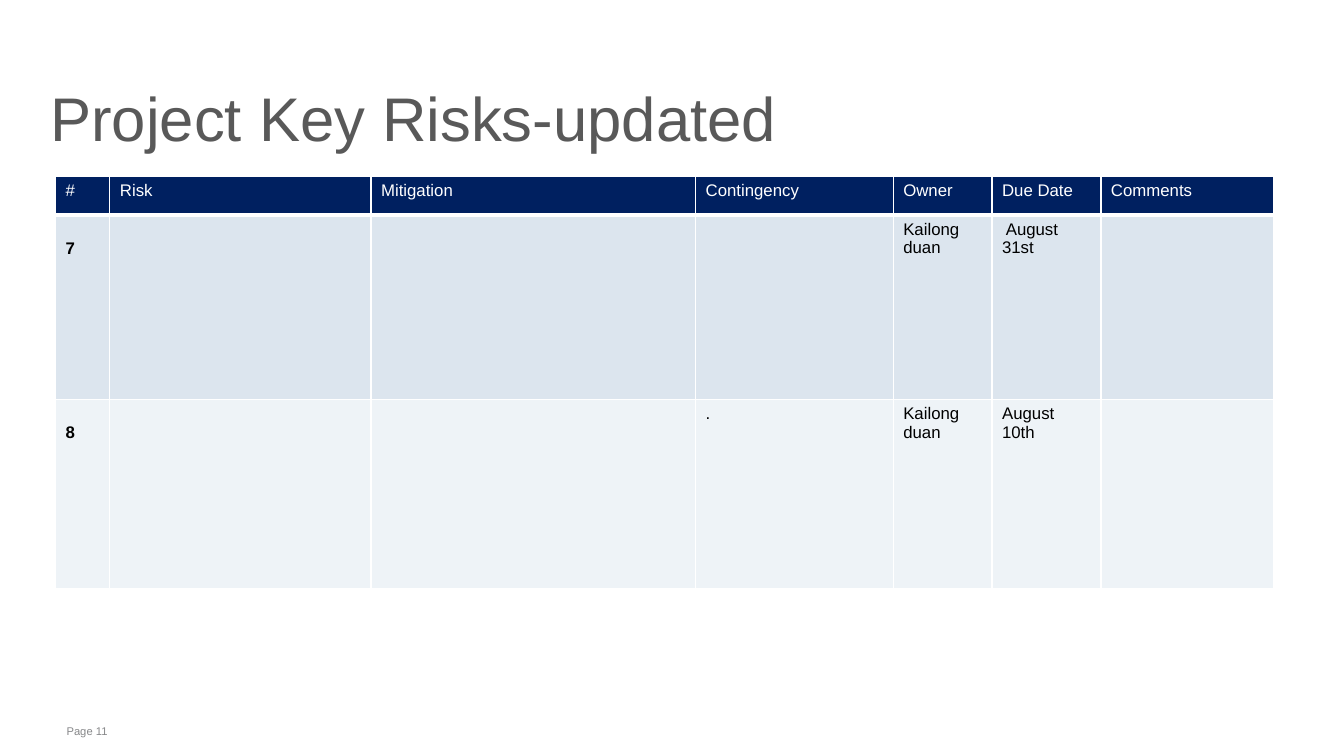
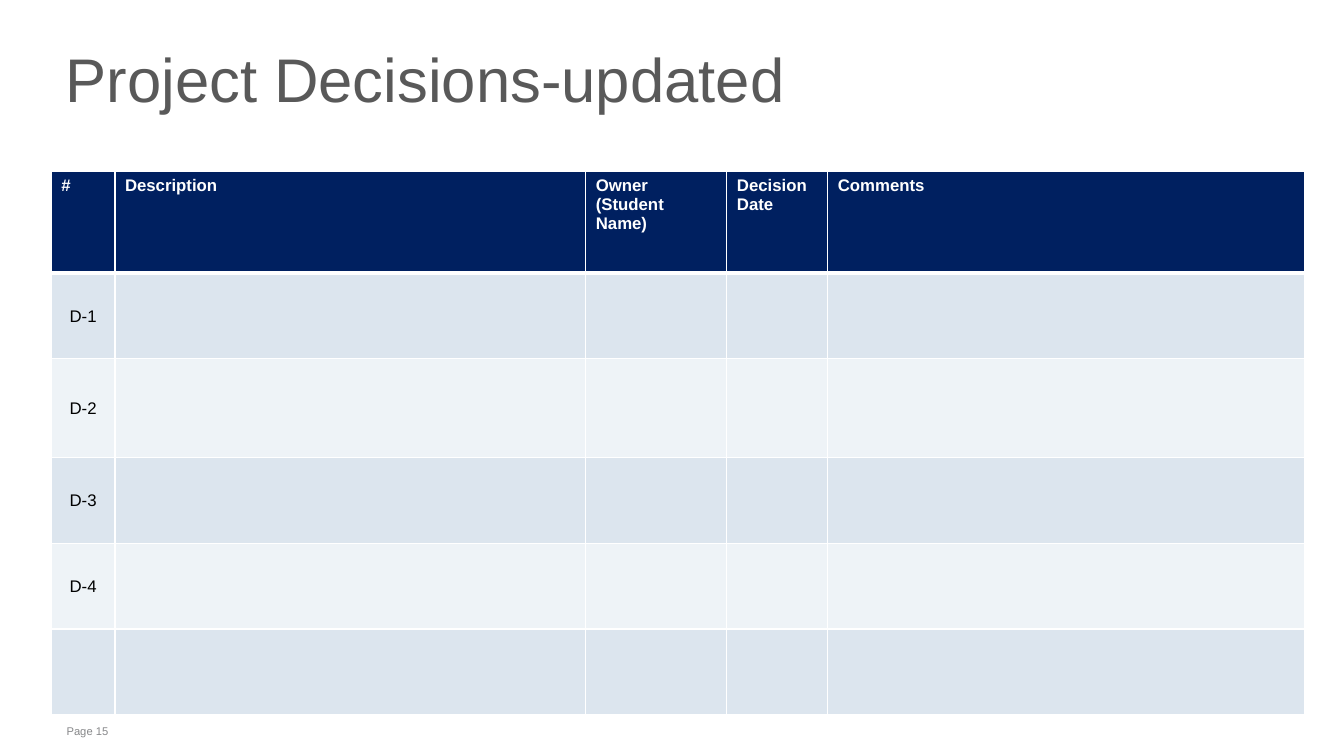
from lxml.etree import SubElement
from pptx import Presentation
from pptx.dml.color import RGBColor
from pptx.enum.text import MSO_ANCHOR, MSO_AUTO_SIZE, PP_ALIGN
from pptx.oxml.ns import qn
from pptx.util import Inches, Pt

WHITE = RGBColor(0xFF, 0xFF, 0xFF)
BLACK = RGBColor(0x00, 0x00, 0x00)
NAVY = RGBColor(0x00, 0x20, 0x60)
TITLE_GRAY = RGBColor(0x59, 0x59, 0x59)
FOOTER_GRAY = RGBColor(0x87, 0x88, 0x8A)
BANDS = (RGBColor(0xDC, 0xE5, 0xEE), RGBColor(0xEE, 0xF3, 0xF7))
FONT = "Arial"
TITLE_ONLY = 5


def write_text(text_frame, text, size=12, color=BLACK, bold=False,
               align=PP_ALIGN.LEFT, line_spacing=None):
    text_frame.text = text
    for paragraph in text_frame.paragraphs:
        paragraph.alignment = align
        if line_spacing:
            paragraph.line_spacing = line_spacing
        paragraph.font.name = FONT
        paragraph.font.size = Pt(size)
        paragraph.font.bold = bold
        paragraph.font.color.rgb = color


def set_margins(holder, left, top, right, bottom):
    holder.margin_left, holder.margin_top = Inches(left), Inches(top)
    holder.margin_right, holder.margin_bottom = Inches(right), Inches(bottom)


def add_borders(cell, top, bottom):
    properties = cell._tc.get_or_add_tcPr()
    for side, width in (("L", 1), ("R", 1), ("T", top), ("B", bottom)):
        line = SubElement(properties, qn(f"a:ln{side}"), w=str(Pt(width)))
        fill = SubElement(line, qn("a:solidFill"))
        SubElement(fill, qn("a:srgbClr"), val=str(WHITE))


class Deck:
    def __init__(self):
        self.presentation = Presentation()
        self.presentation.slide_width = Inches(13.33)
        self.presentation.slide_height = Inches(7.5)
        self.slide = None

    def add_slide(self, page):
        layout = self.presentation.slide_layouts[TITLE_ONLY]
        self.slide = self.presentation.slides.add_slide(layout)
        self.add_footer(f"Page {page}")

    def add_footer(self, text):
        footer = self.slide.shapes.add_textbox(
            Inches(0.58), Inches(7.14), Inches(10.79), Inches(0.24))
        footer.text_frame.word_wrap = True
        set_margins(footer.text_frame, 0.08, 0.05, 0.08, 0.05)
        write_text(footer.text_frame, text, size=8, color=FOOTER_GRAY)

    def add_title(self, text, left, top, width, height, margins,
                  anchor=MSO_ANCHOR.TOP, line_spacing=None):
        title = self.slide.shapes.title
        title.left, title.top = Inches(left), Inches(top)
        title.width, title.height = Inches(width), Inches(height)
        frame = title.text_frame
        frame.auto_size = MSO_AUTO_SIZE.NONE
        frame.word_wrap = True
        frame.vertical_anchor = anchor
        set_margins(frame, *margins)
        write_text(frame, text, size=44, color=TITLE_GRAY,
                   line_spacing=line_spacing)

    def add_table(self, left, top, columns, heights, rows, header_bold=False):
        frame = self.slide.shapes.add_table(
            len(heights), len(columns), Inches(left), Inches(top),
            Inches(sum(columns)), Inches(sum(heights)))
        table = frame.table
        for column, width in zip(table.columns, columns):
            column.width = Inches(width)
        for index, (row, height) in enumerate(zip(table.rows, heights)):
            row.height = Inches(height)
            header = index == 0
            for cell, text in zip(row.cells, rows[index]):
                add_borders(cell, top=3 if index == 1 else 1,
                            bottom=3 if header else 1)
                cell.fill.solid()
                cell.fill.fore_color.rgb = NAVY if header else BANDS[(index - 1) % 2]
                write_text(cell.text_frame, text,
                           color=WHITE if header else BLACK,
                           bold=header and header_bold)
        return table


def build_risks(deck):
    deck.add_slide(11)
    deck.add_title("Project Key Risks-updated", 0.4, 0.74, 11.68, 1.58,
                   margins=(0.1, 0.05, 0.1, 0.05))
    rows = [
        ("#", "Risk", "Mitigation", "Contingency", "Owner", "Due Date", "Comments"),
        ("7", "", "", "", "Kailong duan", " August 31st", ""),
        ("8", "", "", ".", "Kailong duan", "August 10th", ""),
    ]
    table = deck.add_table(0.55, 1.75, (0.54, 2.59, 3.22, 1.96, 0.98, 1.08, 1.71),
                           (0.38, 1.83, 1.88), rows)
    for index in (1, 2):
        number = table.cell(index, 0)
        number.margin_top = Inches(0.24)
        write_text(number.text_frame, rows[index][0], bold=True)


def build_decisions(deck):
    deck.add_slide(15)
    deck.add_title("Project Decisions-updated", 0.57, 0.26, 10.93, 1.19,
                   margins=(0.08, 0, 0.08, 0), anchor=MSO_ANCHOR.MIDDLE,
                   line_spacing=0.75)
    identifiers = [f"D-{number}" for number in range(1, 5)]
    rows = [("#", "Description", "Owner\n(Student Name)", "Decision Date", "Comments")]
    rows += [(identifier, "", "", "", "") for identifier in identifiers + [""]]
    table = deck.add_table(0.51, 1.7, (0.63, 4.67, 1.4, 1, 4.73),
                           (1.01, 0.85, 0.98, 0.85, 0.85, 0.85), rows,
                           header_bold=True)
    for index, identifier in enumerate(identifiers, start=1):
        cell = table.cell(index, 0)
        cell.vertical_anchor = MSO_ANCHOR.MIDDLE
        set_margins(cell, 0.01, 0.01, 0.01, 0)
        write_text(cell.text_frame, identifier, align=PP_ALIGN.CENTER)


def main():
    deck = Deck()
    build_risks(deck)
    build_decisions(deck)
    deck.presentation.save("out.pptx")


if __name__ == "__main__":
    main()
